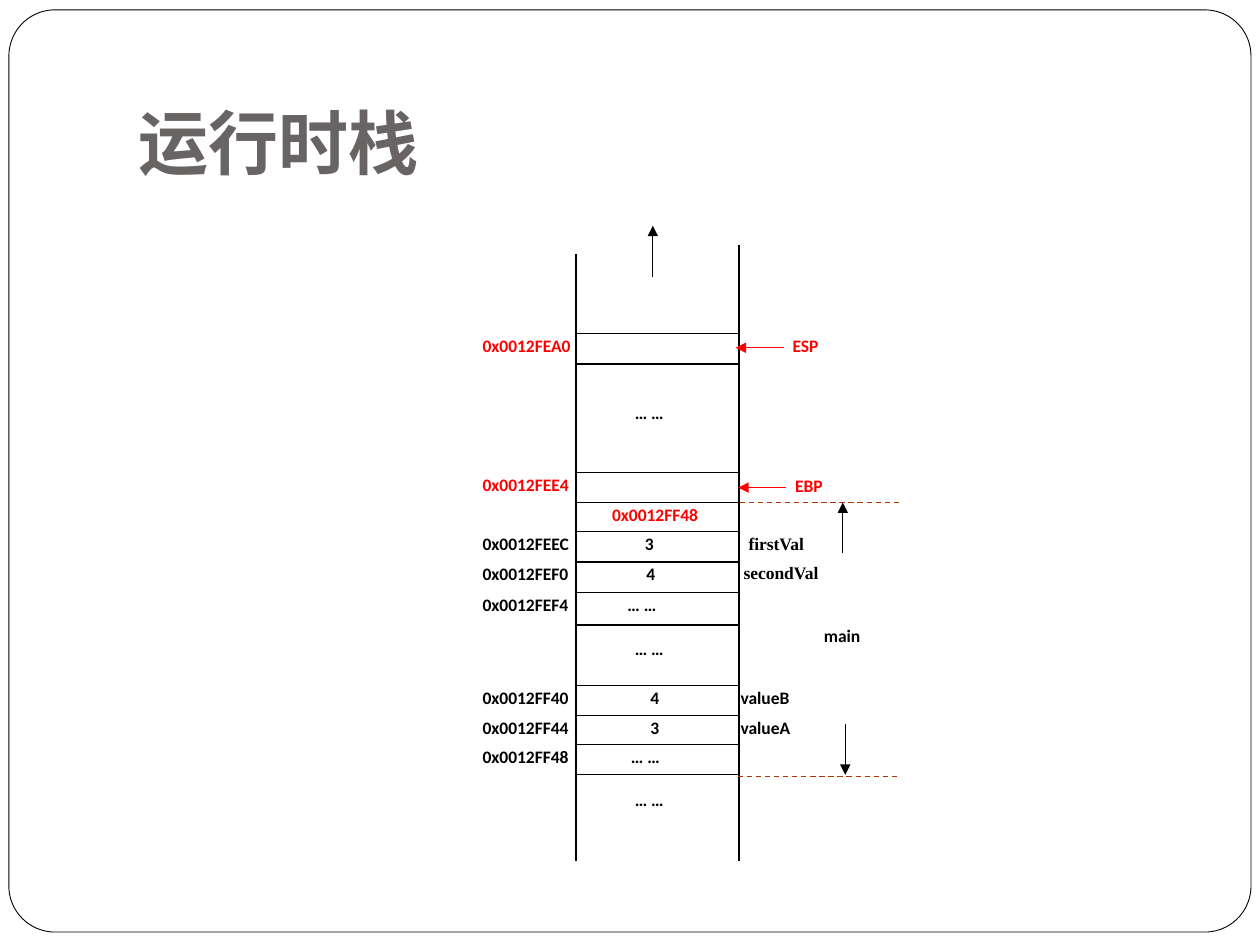
from lxml.etree import SubElement
from pptx import Presentation
from pptx.dml.color import RGBColor
from pptx.enum.dml import MSO_LINE
from pptx.enum.shapes import MSO_CONNECTOR, MSO_SHAPE
from pptx.enum.text import MSO_ANCHOR, MSO_AUTO_SIZE, PP_ALIGN
from pptx.oxml.ns import qn
from pptx.util import Cm, Pt

TITLE = "运行时栈"
COLOURS = {"black": "000000", "white": "FFFFFF", "grey": "696464",
           "red": "FF0000", "rust": "AF3408"}
# Each cell: top, address, address colour, value, value left, value drop, value colour
CELLS = [
    (6.73, "0x0012FEA0", "red", "", 0, 0, "black"),
    (7.34, "", "black", "… …", 12.75, 0.74, "black"),
    (9.53, "0x0012FEE4", "red", "", 0, 0, "black"),
    (10.13, "", "black", "0x0012FF48", 12.29, 0, "red"),
    (10.72, "0x0012FEEC", "black", "3", 12.95, 0, "black"),
    (11.33, "0x0012FEF0", "black", "4", 12.98, 0, "black"),
    (11.94, "0x0012FEF4", "black", "… …", 12.6, 0, "black"),
    (12.6, "", "black", "… …", 12.75, 0.23, "black"),
    (13.82, "0x0012FF40", "black", "4", 13.06, 0, "black"),
    (14.43, "0x0012FF44", "black", "3", 13.06, 0, "black"),
    (15.01, "0x0012FF48", "black", "… …", 12.67, 0, "black"),
    (15.62, "", "black", "… …", 12.75, 0.25, "black"),
]
LABELS = [
    ("firstVal", 15.04, 10.72, "Times New Roman", "black"),
    ("secondVal", 14.94, 11.3, "Times New Roman", "black"),
    ("valueB", 14.88, 13.82, "Calibri", "black"),
    ("valueA", 14.88, 14.43, "Calibri", "black"),
    ("main", 16.56, 12.57, "Calibri", "black"),
    ("ESP", 15.93, 6.73, "Calibri", "red"),
    ("EBP", 15.98, 9.55, "Calibri", "red"),
]
STACK_LEFT, STACK_RIGHT, STACK_BOTTOM = 11.61, 14.9, 17.35
WALLS = [(STACK_LEFT, 5.13), (STACK_RIGHT, 4.93)]
ARROWS = [
    (13.16, 5.59, 13.16, 4.55, "black"),
    (15.8, 7.01, 14.83, 7.01, "red"),
    (15.85, 9.83, 14.88, 9.83, "red"),
    (16.99, 11.15, 16.99, 10.13, "black"),
    (17.04, 14.6, 17.04, 15.62, "black"),
]
FRAME_BOUNDS = [(14.92, 10.13), (14.88, 15.65)]
FRAME_BOUND_WIDTH = 3.26


def apply(target, values):
    """Set every attribute named in values on target."""
    for attribute, value in values.items():
        setattr(target, attribute, value)


def rgb(colour):
    """Return the named colour."""
    return RGBColor.from_string(COLOURS[colour])


def add_label(slide, text, left, top, width=2.06, font="Calibri", colour="black"):
    """Write a small bold label."""
    label = slide.shapes.add_textbox(Cm(left), Cm(top), Cm(width), Cm(0.63))
    frame = label.text_frame
    apply(frame, {"word_wrap": True, "margin_left": Cm(0.05), "margin_right": Cm(0.05),
                  "margin_top": Cm(0.03), "margin_bottom": Cm(0.03)})
    paragraph = frame.paragraphs[0]
    apply(paragraph, {"text": text, "alignment": PP_ALIGN.JUSTIFY})
    apply(paragraph.font, {"name": font, "size": Pt(10), "bold": True})
    paragraph.font.color.rgb = rgb(colour)


def add_line(slide, x1, y1, x2, y2, colour="black", arrow=False, dash=None):
    """Draw a thin line, with an arrowhead at its end when asked."""
    line = slide.shapes.add_connector(MSO_CONNECTOR.STRAIGHT, Cm(x1), Cm(y1), Cm(x2), Cm(y2))
    apply(line.line, {"width": Pt(0.75), "dash_style": dash})
    line.line.color.rgb = rgb(colour)
    properties = line._element.spPr
    if arrow:
        SubElement(properties.find(qn("a:ln")), qn("a:tailEnd"), type="triangle")
    SubElement(properties, qn("a:effectLst"))


def add_border(slide):
    """Draw the rounded border behind everything else."""
    border = slide.shapes.add_shape(
        MSO_SHAPE.ROUNDED_RECTANGLE, Cm(0.18), Cm(0.2), Cm(25.04), Cm(18.59))
    border.adjustments[0] = 0.05
    border.shadow.inherit = False
    border.fill.solid()
    border.fill.fore_color.rgb = rgb("white")
    border.line.width = Pt(0.5)
    border.line.color.rgb = rgb("black")
    slide.shapes._spTree.insert(2, border._element)


def add_title(slide):
    """Place and format the title."""
    title = slide.shapes.title
    apply(title, {"left": Cm(2.54), "top": Cm(0.76), "width": Cm(21.59), "height": Cm(3.18)})
    apply(title.text_frame, {
        "text": TITLE, "vertical_anchor": MSO_ANCHOR.BOTTOM, "word_wrap": True,
        "auto_size": MSO_AUTO_SIZE.NONE, "margin_bottom": Cm(0.25)})
    paragraph = title.text_frame.paragraphs[0]
    paragraph.alignment = PP_ALIGN.LEFT
    apply(paragraph.font, {"name": "Roboto", "size": Pt(40), "bold": True})
    paragraph.font.color.rgb = rgb("grey")


def main():
    """Build the runtime stack slide."""
    deck = Presentation()
    apply(deck, {"slide_width": Cm(25.4), "slide_height": Cm(19.05)})
    slide = deck.slides.add_slide(deck.slide_layouts[5])
    add_border(slide)
    add_title(slide)
    for x, top in WALLS:
        add_line(slide, x, top, x, STACK_BOTTOM)
    for top, address, address_colour, value, left, drop, value_colour in CELLS:
        add_line(slide, STACK_LEFT, top, STACK_RIGHT, top)
        if address:
            add_label(slide, address, 9.68, top, colour=address_colour)
        if value:
            width = 2.26 if value.startswith("0x") else 1.22
            add_label(slide, value, left, top + drop, width, colour=value_colour)
    for text, left, top, font, colour in LABELS:
        add_label(slide, text, left, top, 1.85, font, colour)
    for *ends, colour in ARROWS:
        add_line(slide, *ends, colour, arrow=True)
    for left, y in FRAME_BOUNDS:
        add_line(slide, left, y, left + FRAME_BOUND_WIDTH, y, "rust", dash=MSO_LINE.DASH)
    deck.save("out.pptx")


if __name__ == "__main__":
    main()
